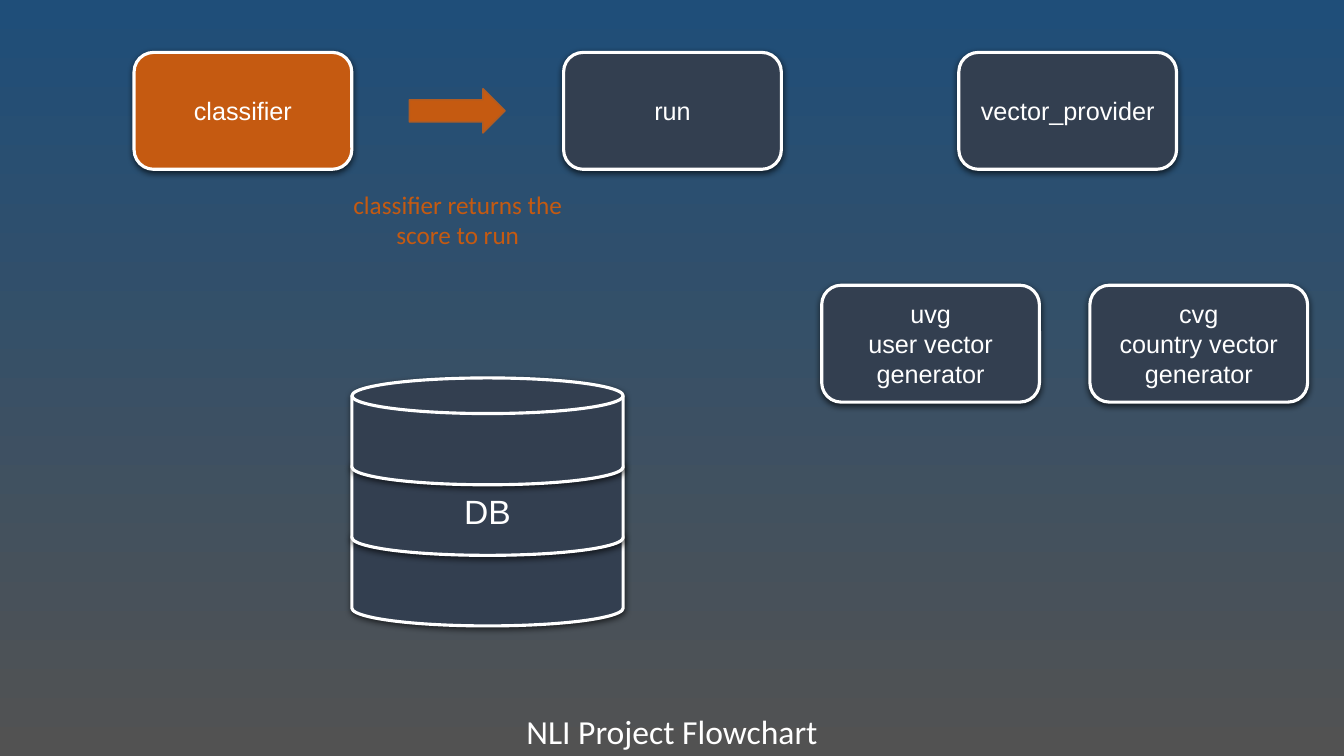
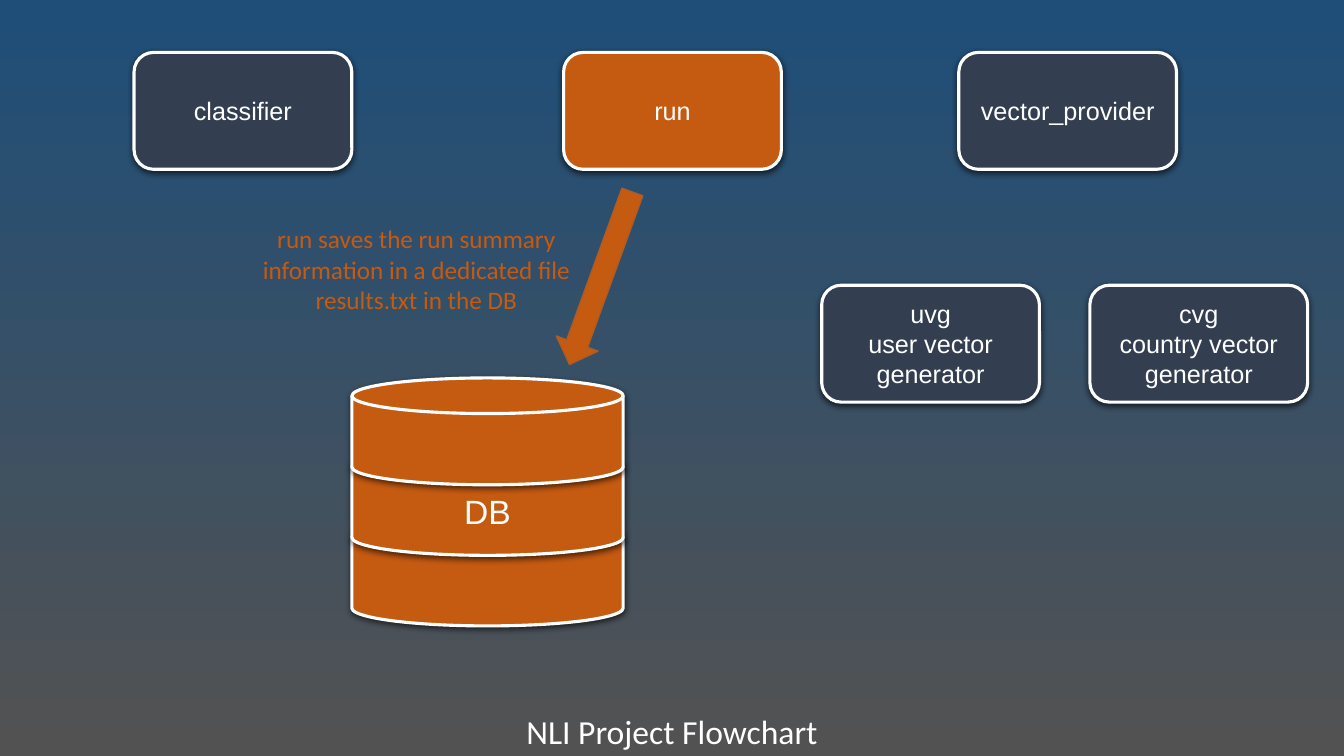
from lxml import etree
from pptx import Presentation
from pptx import util as u
from pptx.dml.color import RGBColor
from pptx.enum import shapes, text
from pptx.oxml import parse_xml
from pptx.oxml.ns import nsdecls, qn

SLIDE_W, SLIDE_H = 13.33, 7.5
SKY, GROUND = RGBColor(0x1F, 0x4E, 0x79), RGBColor(0x52, 0x52, 0x52)
IDLE, ACTIVE = RGBColor(0x33, 0x3F, 0x50), RGBColor(0xC5, 0x5A, 0x11)
ARROW_EDGE = RGBColor(0xAF, 0x5C, 0x24)
WHITE = RGBColor(0xFF, 0xFF, 0xFF)
MODULE_FONT, NOTE_FONT = "Arial", "Calibri"

MODULE_SIZE = (2.16, 1.16)
TOP_ROW, GENERATOR_ROW = 0.52, 2.83
MODULES = {
    "run": (5.59, TOP_ROW, "run"),
    "vector_provider": (9.51, TOP_ROW, "vector_provider"),
    "cvg": (10.81, GENERATOR_ROW, "cvg\ncountry vector generator"),
    "uvg": (8.15, GENERATOR_ROW, "uvg\nuser vector generator"),
    "classifier": (1.33, TOP_ROW, "classifier"),
}
DB_LEFT, DB_TOP, DISK_STEP = 3.49, 3.75, 0.7
DISK_SIZE = (2.69, 1.06)
DISK_LABELS = ("", "DB", "")
ARROW_H = 0.44


def inches(*lengths):
    return [u.Inches(length) for length in lengths]


def write(frame, words, font, size, color):
    frame.word_wrap = True
    paragraph = frame.paragraphs[0]
    paragraph.text = words
    paragraph.alignment = text.PP_ALIGN.CENTER
    for run in paragraph.runs:
        run.font.name = font
        run.font.size = u.Pt(size)
        run.font.color.rgb = color


def paint(shape, fill, edge, width):
    shape.shadow.inherit = False
    shape.fill.solid()
    shape.fill.fore_color.rgb = fill
    shape.line.color.rgb = edge
    shape.line.width = u.Pt(width)


def cast_shadow(shape):
    effects = shape._element.spPr.find(qn("a:effectLst"))
    shadow = parse_xml(
        f'<a:outerShdw {nsdecls("a")} blurRad="{u.Pt(4.5)}" dist="{u.Pt(1.5)}" '
        'dir="5400000" algn="ctr" rotWithShape="0"/>')
    black = etree.SubElement(shadow, qn("a:srgbClr"), val="000000")
    etree.SubElement(black, qn("a:alpha"), val="63000")
    effects.append(shadow)


def add_node(parent, kind, place, fill, label, size):
    """White-edged, shadowed part of the flowchart, with an optional label."""
    node = parent.add_shape(kind, *inches(*place))
    paint(node, fill, WHITE, 2.25)
    cast_shadow(node)
    if label:
        node.text_frame.vertical_anchor = text.MSO_ANCHOR.MIDDLE
        write(node.text_frame, label, MODULE_FONT, size, WHITE)


def add_database(slide, fill):
    """Three overlapping disks, stacked from the bottom up."""
    disks = slide.shapes.add_group_shape().shapes
    for level, label in reversed(list(enumerate(DISK_LABELS))):
        place = (DB_LEFT, DB_TOP + level * DISK_STEP, *DISK_SIZE)
        add_node(disks, shapes.MSO_SHAPE.FLOWCHART_MAGNETIC_DISK,
                 place, fill, label, 24)


def add_arrow(slide, left, top, length, rotation=0):
    arrow = slide.shapes.add_shape(shapes.MSO_SHAPE.RIGHT_ARROW,
                                   *inches(left, top, length, ARROW_H))
    arrow.rotation = rotation
    paint(arrow, ACTIVE, ARROW_EDGE, 1)


def add_note(slide, place, words):
    note = slide.shapes.add_textbox(*inches(*place))
    write(note.text_frame, words, NOTE_FONT, 18, ACTIVE)


def place_title(slide):
    title = slide.shapes.title
    width, height = 3.32, 0.5
    title.left, title.top, title.width, title.height = inches(
        (SLIDE_W - width) / 2, SLIDE_H - height, width, height)
    frame = title.text_frame
    frame.auto_size = text.MSO_AUTO_SIZE.NONE
    frame.vertical_anchor = text.MSO_ANCHOR.TOP
    write(frame, "NLI Project Flowchart", NOTE_FONT, 24, WHITE)


def set_background(master):
    fill = master.background.fill
    fill.gradient()
    fill.gradient_angle = 270
    for stop, color in zip(fill.gradient_stops, (SKY, GROUND)):
        stop.color.rgb = color


def add_flowchart(prs, active):
    """Slide with the whole flowchart, the active parts in orange."""
    def fill_of(part):
        return ACTIVE if part in active else IDLE

    slide = prs.slides.add_slide(prs.slide_layouts.get_by_name("Title Only"))
    place_title(slide)
    for module, (left, top, label) in MODULES.items():
        add_node(slide.shapes, shapes.MSO_SHAPE.ROUNDED_RECTANGLE,
                 (left, top, *MODULE_SIZE), fill_of(module), label, 18)
    add_database(slide, fill_of("DB"))
    return slide


def main():
    prs = Presentation()
    prs.slide_width, prs.slide_height = inches(SLIDE_W, SLIDE_H)
    set_background(prs.slide_master)

    scoring = add_flowchart(prs, {"classifier"})
    add_note(scoring, (3.36, 1.83, 2.36, 0.71),
             "classifier returns the score to run")
    add_arrow(scoring, 4.06, 0.88, 0.95)

    saving = add_flowchart(prs, {"run", "DB"})
    add_note(saving, (2.49, 2.17, 3.28, 1.01),
             "run saves the run summary information in a dedicated file "
             "results.txt in the DB")
    add_arrow(saving, 5.05, 2.54, 1.82, rotation=110)

    prs.save("out.pptx")


if __name__ == "__main__":
    main()
